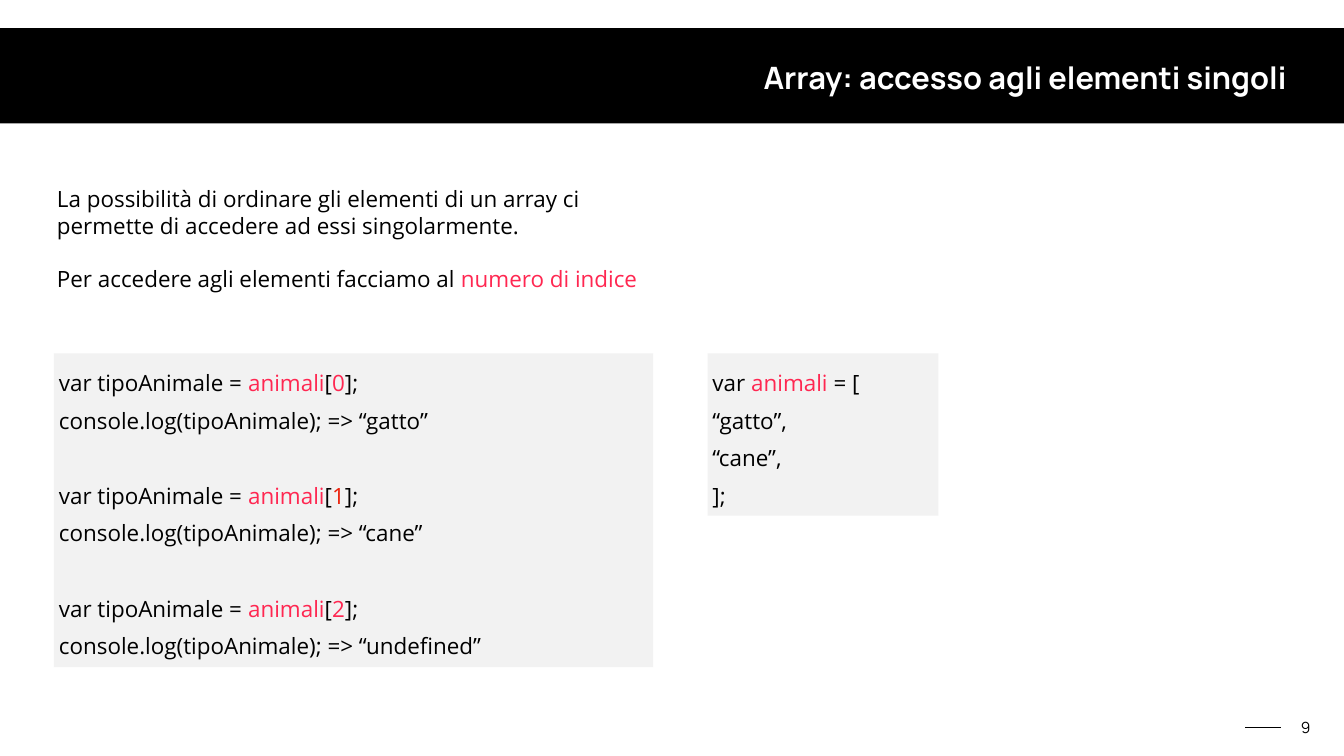
from pptx import Presentation
from pptx.dml.color import RGBColor
from pptx.enum.shapes import MSO_CONNECTOR, MSO_SHAPE
from pptx.enum.text import MSO_ANCHOR, MSO_AUTO_SIZE, PP_ALIGN
from pptx.oxml.ns import qn
from pptx.util import Inches, Pt
from lxml import etree

RECTANGLE = MSO_SHAPE.RECTANGLE
STRAIGHT = MSO_CONNECTOR.STRAIGHT
TOP, MIDDLE, BOTTOM = MSO_ANCHOR.TOP, MSO_ANCHOR.MIDDLE, MSO_ANCHOR.BOTTOM
LEFT, CENTER, RIGHT = PP_ALIGN.LEFT, PP_ALIGN.CENTER, PP_ALIGN.RIGHT
NO_AUTOFIT = MSO_AUTO_SIZE.NONE
BLACK, WHITE, GRAY, PINK, RED = "000000", "FFFFFF", "F2F2F2", "FF2751", "EB220C"


def write(box, paragraphs, size=32, font="Open Sans", color=BLACK, bold=False,
          align=LEFT, anchor=TOP, inset=0.06, spacing=1.0, gaps=()):
    frame = box.text_frame
    frame.word_wrap = True
    frame.auto_size = NO_AUTOFIT
    frame.vertical_anchor = anchor
    frame.margin_left = frame.margin_right = Inches(inset)
    frame.margin_top = frame.margin_bottom = Inches(inset)
    for index, spans in enumerate(paragraphs):
        para = frame.add_paragraph() if index else frame.paragraphs[0]
        para.alignment = align
        para.line_spacing = spacing
        para.space_before = Pt(size * 1.2 * spacing if index in gaps else 0)
        for text, span_color in spans:
            span = para.add_run()
            span.text = text
            span.font.name = font
            span.font.size = Pt(size)
            span.font.bold = bold
            span.font.color.rgb = RGBColor.from_string(span_color or color)


def add_panel(left, top, width, height, fill):
    panel = page.shapes.add_shape(RECTANGLE, Inches(left), Inches(top), Inches(width), Inches(height))
    panel.shadow.inherit = False
    panel.fill.solid()
    panel.fill.fore_color.rgb = RGBColor.from_string(fill)
    panel.line.fill.background()
    return panel


deck = Presentation()
deck.slide_width, deck.slide_height = Inches(26.67), Inches(15)
page = deck.slides.add_slide(deck.slide_layouts[5])

title = page.shapes.title
title.left, title.top = Inches(5.89), Inches(1.1)
title.width, title.height = Inches(19.71), Inches(0.85)
write(title, [[("Array: accesso agli elementi singoli", None)]], size=44, font="Manrope",
      color=WHITE, bold=True, align=RIGHT, anchor=MIDDLE)

band = add_panel(-0.21, 0.56, 27.08, 1.89, BLACK)
title.element.addprevious(band.element)

intro = page.shapes.add_textbox(Inches(1.07), Inches(3.6), Inches(11.89), Inches(2.27))
write(intro, [
    [("La possibilità di ordinare gli elementi di un array ci permette di accedere "
      "ad essi singolarmente.", None)],
    [("Per accedere agli elementi facciamo al ", None), ("numero di indice", PINK)],
], anchor=MIDDLE, gaps=(1,))

array_panel = add_panel(14.04, 7.01, 4.58, 3.22, GRAY)
write(array_panel, [
    [("var ", None), ("animali", PINK), (" = [", None)],
    [("“gatto”,", None)],
    [("“cane”,", None)],
    [("];", None)],
], inset=0.1, spacing=1.4)

access_lines = []
for index, (result, index_color) in enumerate([("gatto", PINK), ("cane", RED), ("undefined", PINK)]):
    access_lines.append([("var tipoAnimale = ", None), ("animali", PINK), ("[", None),
                         (str(index), index_color), ("];", None)])
    access_lines.append([(f"console.log(tipoAnimale); => “{result}”", None)])
access_panel = add_panel(1.07, 7.01, 11.89, 6.23, GRAY)
write(access_panel, access_lines, inset=0.1, spacing=1.4, gaps=(2, 4))

dash = page.shapes.add_connector(STRAIGHT, Inches(25.42), Inches(14.44), Inches(24.71), Inches(14.44))
dash.line.color.rgb = RGBColor.from_string(BLACK)
dash.line.width = Pt(2)
etree.SubElement(dash.element.spPr, qn("a:effectLst"))

number = page.shapes.add_textbox(Inches(25.66), Inches(14.2), Inches(0.5), Inches(0.48))
write(number, [[("9", None)]], size=22, font="Manrope", align=CENTER, anchor=BOTTOM)

deck.save("out.pptx")
